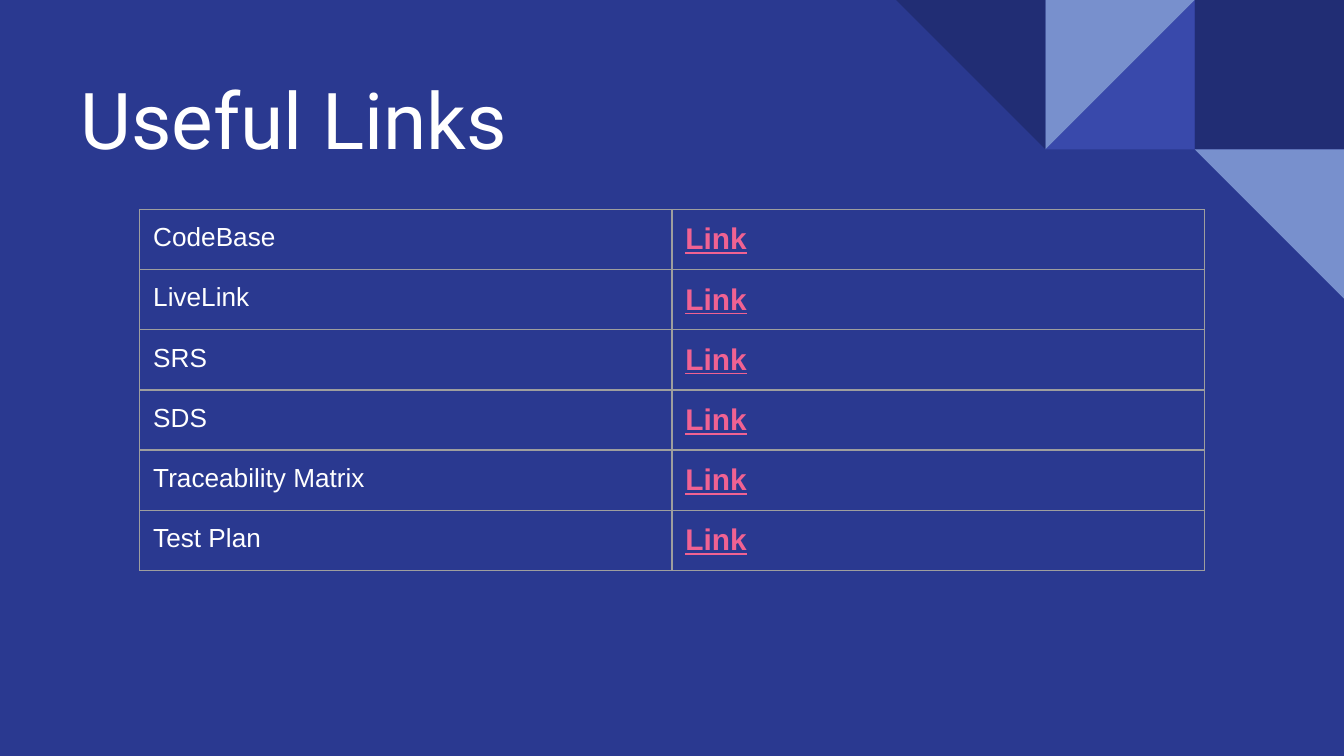
from collections import namedtuple
from dataclasses import dataclass

from lxml.etree import SubElement
from pptx import Presentation
from pptx.dml.color import RGBColor
from pptx.enum.shapes import MSO_SHAPE
from pptx.enum.text import MSO_ANCHOR, MSO_AUTO_SIZE, PP_ALIGN
from pptx.oxml.ns import qn
from pptx.util import Inches, Pt

Box = namedtuple("Box", "left top width height")


@dataclass(frozen=True)
class Theme:
    background: str = "2A3990"
    navy: str = "212D74"
    indigo: str = "3949AB"
    sky: str = "7890CD"
    text: str = "FFFFFF"
    link: str = "F06292"
    border: str = "9E9E9E"
    heading_font: str = "Roboto"
    body_font: str = "Arial"
    title_size: int = 42
    label_size: int = 14
    link_size: int = 16
    border_width: float = 0.75
    inset: float = 0.1


THEME = Theme()
TITLE_FORMAT = {"name": THEME.heading_font, "size": Pt(THEME.title_size), "bold": False}
LABEL_FORMAT = {"name": THEME.body_font, "size": Pt(THEME.label_size),
                "bold": False, "underline": False}
LINK_FORMAT = {"name": THEME.body_font, "size": Pt(THEME.link_size),
               "bold": True, "underline": True}
MARGINS = {f"margin_{side}": Inches(THEME.inset)
           for side in ("left", "right", "top", "bottom")}

RESOURCES = ["CodeBase", "LiveLink", "SRS", "SDS", "Traceability Matrix", "Test Plan"]
TILE_COLUMNS = 9
TILES = [
    (8, 0, MSO_SHAPE.RECTANGLE, 0, THEME.navy),
    (7, 0, MSO_SHAPE.RIGHT_TRIANGLE, 270, THEME.indigo),
    (7, 0, MSO_SHAPE.RIGHT_TRIANGLE, 90, THEME.sky),
    (6, 0, MSO_SHAPE.RIGHT_TRIANGLE, 180, THEME.navy),
    (8, 1, MSO_SHAPE.RIGHT_TRIANGLE, 180, THEME.sky),
]


def apply(target, values):
    for name, value in values.items():
        setattr(target, name, value)


def write(text_frame, text, font_format, color):
    paragraph = text_frame.paragraphs[0]
    paragraph.alignment = PP_ALIGN.LEFT
    run = paragraph.add_run()
    run.text = text
    apply(run.font, font_format)
    run.font.color.rgb = RGBColor.from_string(color)


def add_corner_tiles(slide, box):
    tile = box.width / TILE_COLUMNS
    for column, row, preset, rotation, color in TILES:
        shape = slide.shapes.add_shape(
            preset, int(box.left + column * tile), int(box.top + row * tile),
            int(tile), int(tile))
        shape.rotation = rotation
        shape.shadow.inherit = False
        shape.fill.solid()
        shape.fill.fore_color.rgb = RGBColor.from_string(color)
        shape.line.fill.background()


def add_title(slide, box, text):
    title = slide.shapes.title
    apply(title, box._asdict())
    apply(title.text_frame, {"auto_size": MSO_AUTO_SIZE.NONE, "word_wrap": True,
                             "vertical_anchor": MSO_ANCHOR.BOTTOM, **MARGINS})
    write(title.text_frame, text, TITLE_FORMAT, THEME.text)


def add_borders(cell):
    properties = cell._tc.get_or_add_tcPr()
    for index, edge in enumerate(("a:lnL", "a:lnR", "a:lnT", "a:lnB")):
        line = SubElement(properties, qn(edge), w=str(Pt(THEME.border_width)))
        fill = SubElement(line, qn("a:solidFill"))
        SubElement(fill, qn("a:srgbClr"), val=THEME.border)
        properties.insert(index, line)


def format_cell(cell, text, font_format, color):
    apply(cell, {"vertical_anchor": MSO_ANCHOR.TOP, **MARGINS})
    cell.fill.background()
    write(cell.text_frame, text, font_format, color)
    add_borders(cell)


def add_links_table(slide, box):
    table = slide.shapes.add_table(len(RESOURCES), 2, *box).table
    apply(table, {"first_row": False, "horz_banding": False})
    for row, resource in enumerate(RESOURCES):
        format_cell(table.cell(row, 0), resource, LABEL_FORMAT, THEME.text)
        format_cell(table.cell(row, 1), "Link", LINK_FORMAT, THEME.link)


def main():
    presentation = Presentation()
    width = Inches(10)
    height = width * 9 // 16
    apply(presentation, {"slide_width": width, "slide_height": height})
    slide = presentation.slides.add_slide(presentation.slide_layouts[5])
    slide.background.fill.solid()
    slide.background.fill.fore_color.rgb = RGBColor.from_string(THEME.background)

    add_corner_tiles(slide, Box(0, 0, width, height))
    add_title(slide, Box(Inches(0.5), Inches(0.41), Inches(8.99), Inches(0.92)),
              "Useful Links")
    row_height = Inches(0.42)
    add_links_table(slide, Box(Inches(1.04), Inches(1.56), Inches(7.92),
                               row_height * len(RESOURCES)))
    presentation.save("out.pptx")


if __name__ == "__main__":
    main()
